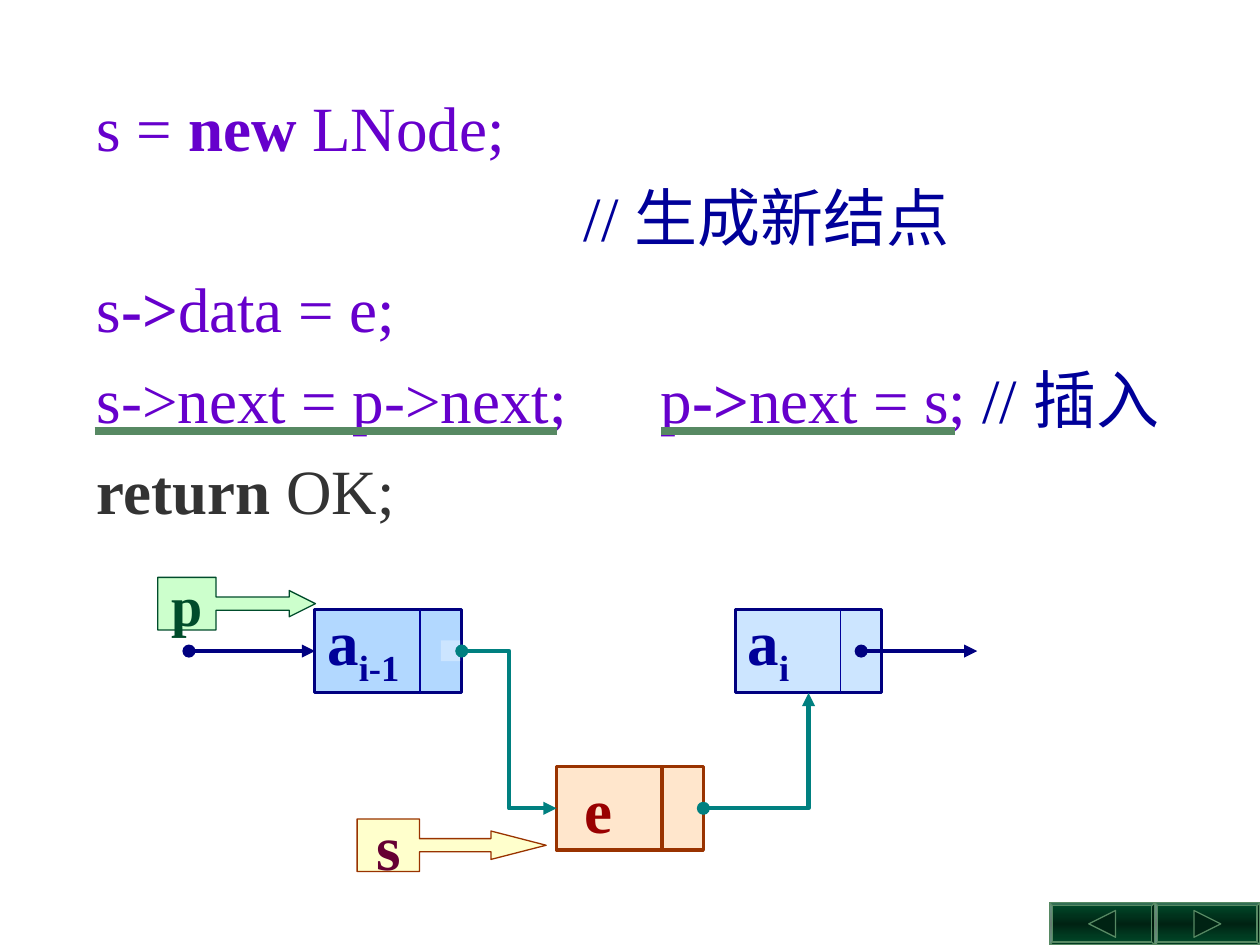
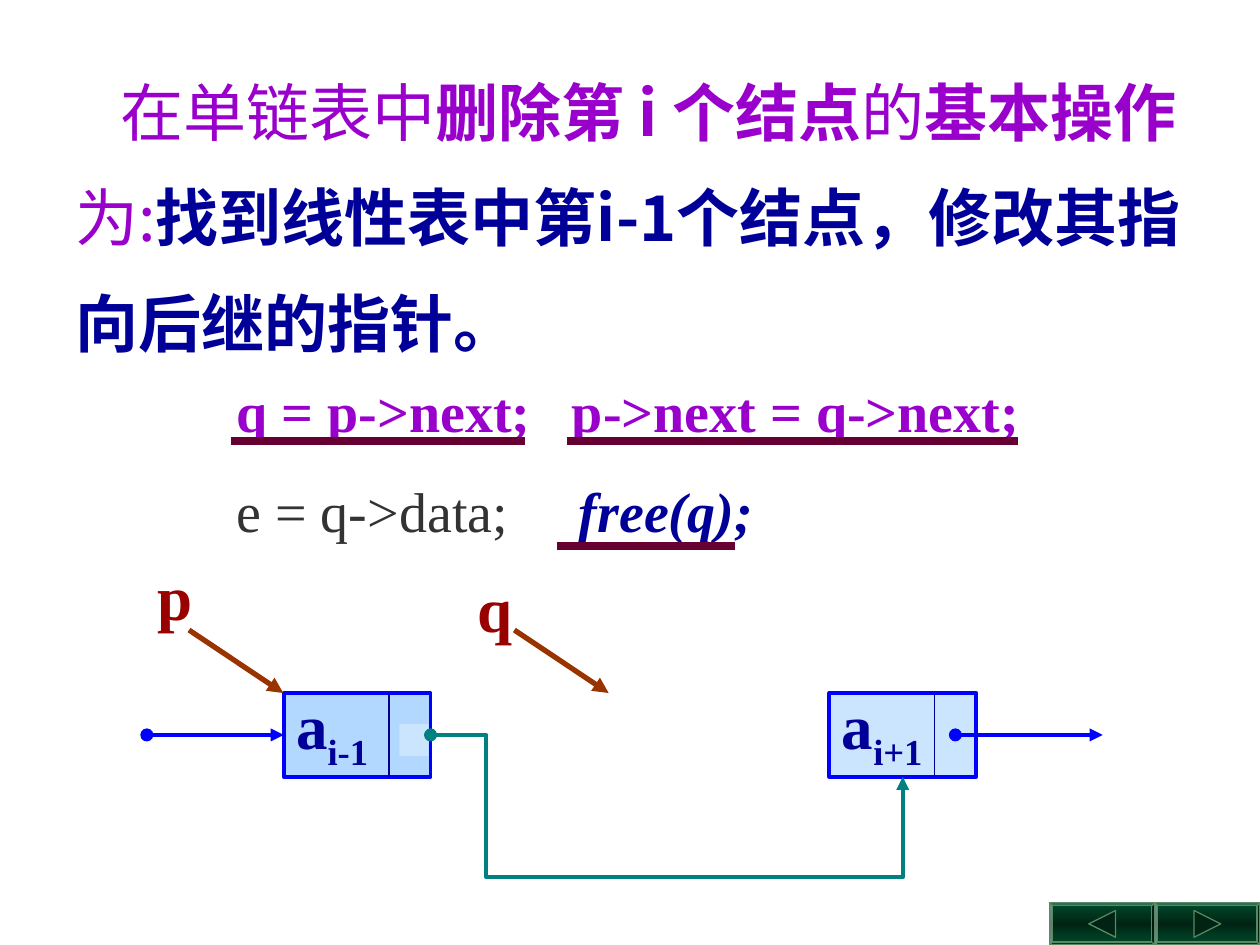
from collections import namedtuple
from copy import deepcopy

from lxml.etree import SubElement
from pptx import Presentation
from pptx.dml.color import RGBColor
from pptx.enum.shapes import MSO_CONNECTOR, MSO_SHAPE
from pptx.enum.text import MSO_ANCHOR, PP_ALIGN
from pptx.oxml.ns import qn
from pptx.util import Cm, Pt

Box = namedtuple("Box", "left top width height")
Span = namedtuple("Span", "text color style", defaults=("",))

SERIF, SANS = "Times New Roman", "Noto Sans CJK SC"
VIOLET, PURPLE, NAVY, GRAY = "6600CC", "9900CC", "000099", "333333"
RED, MAROON, BROWN, TEAL = "990000", "660033", "993300", "008080"
DEEP_BLUE, BLUE, SKY, PALE_SKY = "000080", "0000FF", "B2D8FF", "CCE5FF"
GREEN, DARK_GREEN, SAGE = "004C2B", "002313", "578963"
NODE_WIDTH, NODE_HEIGHT, DIVIDER = 2.96, 1.69, 2.12


def rgb(value):
    """Turn a hex string into a colour."""
    return RGBColor.from_string(value)


def paint(shape, fill, line, weight):
    """Give a shape a flat fill and outline."""
    shape.shadow.inherit = False
    shape.fill.solid()
    shape.fill.fore_color.rgb = rgb(fill)
    if line is None:
        shape.line.fill.background()
    else:
        shape.line.color.rgb = rgb(line)
        shape.line.width = Pt(weight)


def add_spans(para, spans, size, font, spacing=1):
    """Fill a paragraph with styled runs: b bold, i italic, s subscript."""
    para.line_spacing = Pt(size * 1.2 * spacing)
    for span in spans:
        run = para.add_run()
        run.text = span.text
        run.font.size = Pt(size)
        run.font.bold = "b" in span.style
        run.font.italic = "i" in span.style
        run.font.color.rgb = rgb(span.color)
        run.font.name = font
        properties = run.font._element
        SubElement(properties, qn("a:ea")).set("typeface", SANS)
        if "s" in span.style:
            properties.set("baseline", "-25000")


def set_tab(para, position):
    """Put one left tab stop in a paragraph."""
    stops = SubElement(para._p.get_or_add_pPr(), qn("a:tabLst"))
    SubElement(stops, qn("a:tab"), pos=str(Cm(position)), algn="l")


def add_text(page, box, lines, size, font=SERIF, spacing=1, tabs=None, wrap=True):
    """Add a text box with one paragraph per line and return its frame."""
    frame = page.shapes.add_textbox(*map(Cm, box)).text_frame
    frame.word_wrap = wrap
    for index, spans in enumerate(lines):
        para = frame.add_paragraph() if index else frame.paragraphs[0]
        para.line_spacing = Pt(size)
        if tabs:
            set_tab(para, tabs[index])
        add_spans(para, spans, size, font, spacing)
    return frame


def add_line(page, start, end, color, weight, ends="", kind=MSO_CONNECTOR.STRAIGHT):
    """Add a connector; ends may hold o for a round tail and > for an arrow."""
    line = page.shapes.add_connector(kind, *map(Cm, start + end))
    line.line.color.rgb = rgb(color)
    line.line.width = Pt(weight)
    outline = line.line._get_or_add_ln()
    if "o" in ends:
        SubElement(outline, qn("a:headEnd"), type="oval")
    if ">" in ends:
        SubElement(outline, qn("a:tailEnd"), type="triangle")
    SubElement(line._element.spPr, qn("a:effectLst"))
    return line


def add_elbow(page, source, target, site, preset, adjustments=()):
    """Join the right side of one node to a side of another."""
    line = add_line(page, (0, 0), (1, 1), TEAL, 2.5, "o>", MSO_CONNECTOR.ELBOW)
    line.begin_connect(source, 3)
    line.end_connect(target, site)
    geometry = line._element.spPr.find(qn("a:prstGeom"))
    geometry.set("prst", preset)
    guides = geometry.find(qn("a:avLst"))
    for number, value in enumerate(adjustments, 1):
        SubElement(guides, qn("a:gd"), name=f"adj{number}", fmla=f"val {value}")


def add_node(page, left, top, spans, fill, line, weight, divider, inset=0.25):
    """Draw a list node: a value cell and a link cell."""
    node = page.shapes.add_shape(
        MSO_SHAPE.RECTANGLE, Cm(left), Cm(top), Cm(NODE_WIDTH), Cm(NODE_HEIGHT))
    paint(node, fill, line, weight)
    frame = node.text_frame
    frame.margin_left = Cm(inset)
    frame.vertical_anchor = MSO_ANCHOR.MIDDLE
    para = frame.paragraphs[0]
    para.alignment = PP_ALIGN.LEFT
    add_spans(para, spans, 36, SERIF)
    x = left + DIVIDER
    add_line(page, (x, top), (x, top + NODE_HEIGHT), *divider)
    return node


def add_list_node(page, left, top, index, fill, line, weight):
    """Draw a node that holds a subscripted list element."""
    spans = [Span("a", NAVY, "b"), Span(index, NAVY, "bs")]
    return add_node(page, left, top, spans, fill, line, weight, (NAVY, 0.75))


def add_list_ends(page, box, last_left, indices, line, weight, reach, patch):
    """Draw the previous and following nodes with the links around them."""
    middle = box.top + NODE_HEIGHT / 2
    previous = add_list_node(page, box.left, box.top, indices[0], SKY, line, weight)
    height = patch.height
    link_cell = page.shapes.add_shape(
        MSO_SHAPE.RECTANGLE, Cm(box.left + patch.left), Cm(box.top + patch.top),
        Cm(patch.width), Cm(height))
    paint(link_cell, PALE_SKY, None, 0)
    following = add_list_node(page, last_left, box.top, indices[1], PALE_SKY, line, weight)
    incoming = add_line(page, (box.left - reach[0], middle), (box.left, middle), line, 2.5, "o>")
    incoming.end_connect(previous, 1)
    start = last_left + 2.54
    add_line(page, (start, middle), (start + reach[1], middle), line, 2.5, "o>")
    return previous, following


def add_callout(page, box, span, size, fill, line, adjustments):
    """Draw a pointer name in a box with an arrow."""
    callout = page.shapes.add_shape(MSO_SHAPE.RIGHT_ARROW_CALLOUT, *map(Cm, box))
    for index, value in enumerate(adjustments):
        callout.adjustments[index] = value
    paint(callout, fill, line, 0.75)
    frame = callout.text_frame
    frame.word_wrap = False
    frame.vertical_anchor = MSO_ANCHOR.MIDDLE
    frame.paragraphs[0].alignment = PP_ALIGN.CENTER
    add_spans(frame.paragraphs[0], [span], size, SERIF)


def add_pointer(page, left, top, name, start):
    """Write a pointer name with a slanted arrow below it."""
    add_text(page, Box(left, top, 1.22, 1.78), [[Span(name, RED, "b")]], 36, wrap=False)
    add_line(page, start, (start[0] + 1.9, start[1] + 1.27), BROWN, 3, ">")


def add_underlines(page, strokes, color):
    """Underline code from left to right at each height."""
    for left, right, y in strokes:
        add_line(page, (left, y), (right, y), color, 4.5)


def add_button(page, box, forward):
    """Draw a bevelled button with a triangle."""
    button = page.shapes.add_shape(MSO_SHAPE.BEVEL, *map(Cm, box))
    button.adjustments[0] = 0.07
    paint(button, GREEN, SAGE, 0.75)
    button.fill.gradient()
    button.fill.gradient_angle = 90
    stops = button._element.spPr.find(qn("a:gradFill")).find(qn("a:gsLst"))
    stops.insert(1, deepcopy(stops[0]))
    for stop, color, position in zip(
            button.fill.gradient_stops, (GREEN, DARK_GREEN, GREEN), (0, 0.5, 1)):
        stop.color.rgb = rgb(color)
        stop.position = position
    left, right = box.left + 0.79, box.left + 1.33
    tip, base = (right, left) if forward else (left, right)
    middle = box.top + box.height / 2
    outline = page.shapes.build_freeform(Cm(tip), Cm(middle))
    outline.add_line_segments(
        [(Cm(base), Cm(middle - 0.27)), (Cm(base), Cm(middle + 0.27))], close=True)
    paint(outline.convert_to_shape(), DARK_GREEN, SAGE, 0.75)


def add_page(deck):
    """Add a blank page with the two navigation buttons."""
    page = deck.slides.add_slide(deck.slide_layouts[6])
    for index in range(2):
        add_button(page, Box(21.16 + 2.12 * index, 18.2, 2.12, 0.85), index == 1)
    return page


def build_insertion(deck):
    """Show the code and the diagram for inserting a node."""
    page = add_page(deck)
    code = [
        [Span("s = ", VIOLET), Span("new", VIOLET, "b"), Span(" LNode;", VIOLET)],
        [Span("\t// 生成新结点", NAVY)],
        [Span("s", VIOLET), Span("->", VIOLET, "b"), Span("data = e;", VIOLET)],
        [Span("s->next = p->next;\tp", VIOLET), Span("->", VIOLET, "b"),
         Span("next = s;", VIOLET), Span(" // 插入", NAVY)],
        [Span("return", GRAY, "b"), Span(" OK;", GRAY)],
    ]
    add_text(page, Box(1.7, 1.35, 22.43, 9.4), code, 36, spacing=1.2,
             tabs=(9.82, 9.82, 9.82, 11.37, 11.37))
    previous, following = add_list_ends(
        page, Box(6.35, 12.28, 0, 0), 14.82, ("i-1", "i"), DEEP_BLUE, 1.75,
        (2.54, 2.34), Box(2.54, 0.63, 0.39, 0.42))
    inserted = add_node(page, 11.22, 15.45, [Span("e", RED, "b")], "FFE6CC",
                        BROWN, 2, (BROWN, 2), 0.57)
    add_elbow(page, previous, inserted, 1, "bentConnector3")
    add_elbow(page, inserted, following, 2, "bentConnector2")
    add_callout(page, Box(7.2, 16.51, 3.81, 1.06), Span("s", MAROON, "b"), 36,
                "FFFFCC", BROWN, (0.25, 0.27, 1.05, 0.33))
    add_callout(page, Box(3.18, 11.64, 3.18, 1.06), Span("p", GREEN, "b"), 32,
                "CCFFCC", GREEN, (0.25, 0.25, 0.5, 0.37))
    add_underlines(page, [(1.91, 11.22, 8.68), (13.33, 19.26, 8.68)], SAGE)


def build_deletion(deck):
    """Show the rule, the code and the diagram for deleting a node."""
    page = add_page(deck)
    rule = [
        Span("在单链表中", PURPLE), Span("删除第 i 个结点", PURPLE, "b"),
        Span("的", PURPLE), Span("基本操作", PURPLE, "b"), Span("为:", PURPLE),
        Span("找到线性表中第i-1个结点，修改其指向后继的指针。", NAVY, "b"),
    ]
    frame = add_text(page, Box(1.27, 0.74, 22.91, 6.6), [rule], 36, SANS, 1.4)
    frame.paragraphs[0]._p.get_or_add_pPr().set("indent", str(Cm(0.91)))
    previous, following = add_list_ends(
        page, Box(5.72, 13.97, 0, 0), 16.72, ("i-1", "i+1"), BLUE, 2.25,
        (2.76, 2.97), Box(2.33, 0.63, 0.59, 0.64))
    add_elbow(page, previous, following, 2, "bentConnector4", (11800, 339000))
    code = [
        [Span("q = p->next;\tp->next = q->next;", PURPLE, "b")],
        [Span("e = q->data;\t", GRAY), Span("free(q);", NAVY, "bi")],
    ]
    add_text(page, Box(4.52, 6.78, 16.87, 4.32), code, 32, spacing=1.5, tabs=(6.76, 6.9))
    add_pointer(page, 2.92, 11.12, "p", (3.81, 12.7))
    add_pointer(page, 9.37, 11.35, "q", (10.37, 12.7))
    add_underlines(
        page, [(4.66, 10.58, 8.89), (11.43, 20.53, 8.89), (11.22, 14.82, 11)], MAROON)


def main():
    """Build and save the deck."""
    deck = Presentation()
    deck.slide_width, deck.slide_height = Cm(25.4), Cm(19.05)
    build_insertion(deck)
    build_deletion(deck)
    deck.save("out.pptx")


if __name__ == "__main__":
    main()
